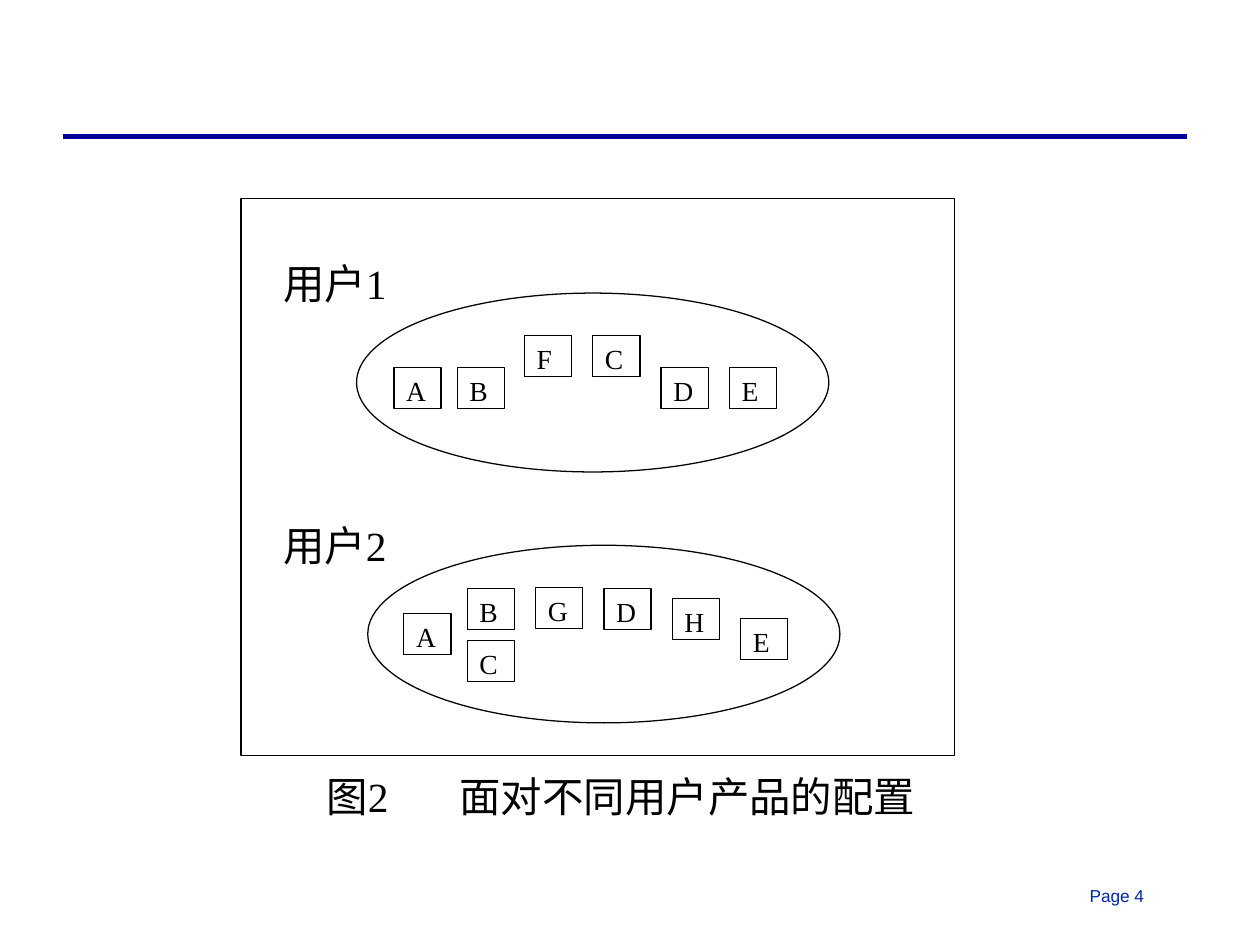
from dataclasses import dataclass

from lxml.etree import SubElement
from pptx import Presentation
from pptx.dml.color import RGBColor
from pptx.enum.shapes import MSO_CONNECTOR, MSO_SHAPE
from pptx.enum.text import MSO_ANCHOR, PP_ALIGN
from pptx.oxml import parse_xml
from pptx.oxml.ns import nsdecls, qn
from pptx.util import Pt

PX = 9144  # 100 px to the inch


@dataclass(frozen=True)
class Theme:
    ink: RGBColor = RGBColor(0x00, 0x00, 0x00)
    paper: RGBColor = RGBColor(0xFF, 0xFF, 0xFF)
    rule: RGBColor = RGBColor(0x00, 0x00, 0x99)
    page: RGBColor = RGBColor(0x00, 0x27, 0x9F)
    serif: str = "Times New Roman"
    sans: str = "Arial"
    label_size: int = 24
    module_size: int = 16
    page_size: int = 10
    outline: float = 0.75
    rule_width: int = 3


THEME = Theme()
MODULE_WIDTH, MODULE_HEIGHT = 38, 33

# Each module: letter, left, top
USER_1_MODULES = [("A", 317, 296), ("B", 368, 296), ("F", 422, 270),
                  ("C", 477, 270), ("D", 532, 296), ("E", 587, 296)]
USER_2_MODULES = [("A", 325, 494), ("B", 376, 474), ("C", 376, 516),
                  ("G", 431, 473), ("D", 486, 474), ("H", 541, 482),
                  ("E", 596, 498)]


def emu(*lengths):
    return [length * PX for length in lengths]


def style_font(paragraph, size, name, color):
    paragraph.font.size = Pt(size)
    paragraph.font.name = name
    paragraph.font.color.rgb = color


def add_outline(shapes, kind, box):
    outline = shapes.add_shape(kind, *emu(*box))
    outline.shadow.inherit = False
    outline.fill.background()
    outline.line.color.rgb = THEME.ink
    outline.line.width = Pt(THEME.outline)
    return outline


def add_module(shapes, letter, left, top):
    module = add_outline(shapes, MSO_SHAPE.RECTANGLE,
                         (left, top, MODULE_WIDTH, MODULE_HEIGHT))
    module.fill.solid()
    module.fill.fore_color.rgb = THEME.paper
    module.text_frame.vertical_anchor = MSO_ANCHOR.TOP
    paragraph = module.text_frame.paragraphs[0]
    paragraph.text = letter
    paragraph.alignment = PP_ALIGN.JUSTIFY
    style_font(paragraph, THEME.module_size, THEME.serif, THEME.ink)


def add_configuration(slide, modules, ellipse_box):
    """Group one user's modules with the ellipse around them."""
    group = slide.shapes.add_group_shape()
    for module in modules:
        add_module(group.shapes, *module)
    add_outline(group.shapes, MSO_SHAPE.OVAL, ellipse_box)


def add_text(slide, text, box, size=THEME.label_size, name=THEME.serif,
             color=THEME.ink):
    words = slide.shapes.add_textbox(*emu(*box))
    words.text_frame.word_wrap = True
    paragraph = words.text_frame.paragraphs[0]
    paragraph.text = text
    style_font(paragraph, size, name, color)
    return paragraph


def set_tab(paragraph, position):
    properties = paragraph.font._element.getparent()
    tabs = parse_xml(f"<a:tabLst {nsdecls('a')}/>")
    SubElement(tabs, qn("a:tab"), pos=str(position * PX), algn="l")
    properties.insert(0, tabs)


def add_rule(slide, left, right, top):
    rule = slide.shapes.add_connector(MSO_CONNECTOR.STRAIGHT,
                                      *emu(left, top, right, top))
    rule.line.color.rgb = THEME.rule
    rule.line.width = Pt(THEME.rule_width)
    SubElement(rule._element.spPr, qn("a:effectLst"))


def main():
    deck = Presentation()
    deck.slide_width, deck.slide_height = emu(1014, 760)
    slide = deck.slides.add_slide(deck.slide_layouts[6])

    add_rule(slide, 51, 955, 110)
    add_text(slide, "Page 4", (867, 708, 75, 27),
             THEME.page_size, THEME.sans, THEME.page)

    add_configuration(slide, USER_2_MODULES, (296, 439, 380, 143))
    add_configuration(slide, USER_1_MODULES, (287, 236, 380, 144))
    add_text(slide, "用户1", (218, 203, 129, 50))
    add_text(slide, "用户2", (218, 414, 129, 50))

    caption = add_text(slide, "图2\t面对不同用户产品的配置", (253, 616, 634, 50))
    set_tab(caption, 107)
    add_outline(slide.shapes, MSO_SHAPE.RECTANGLE, (194, 160, 574, 448))

    deck.save("out.pptx")


if __name__ == "__main__":
    main()
